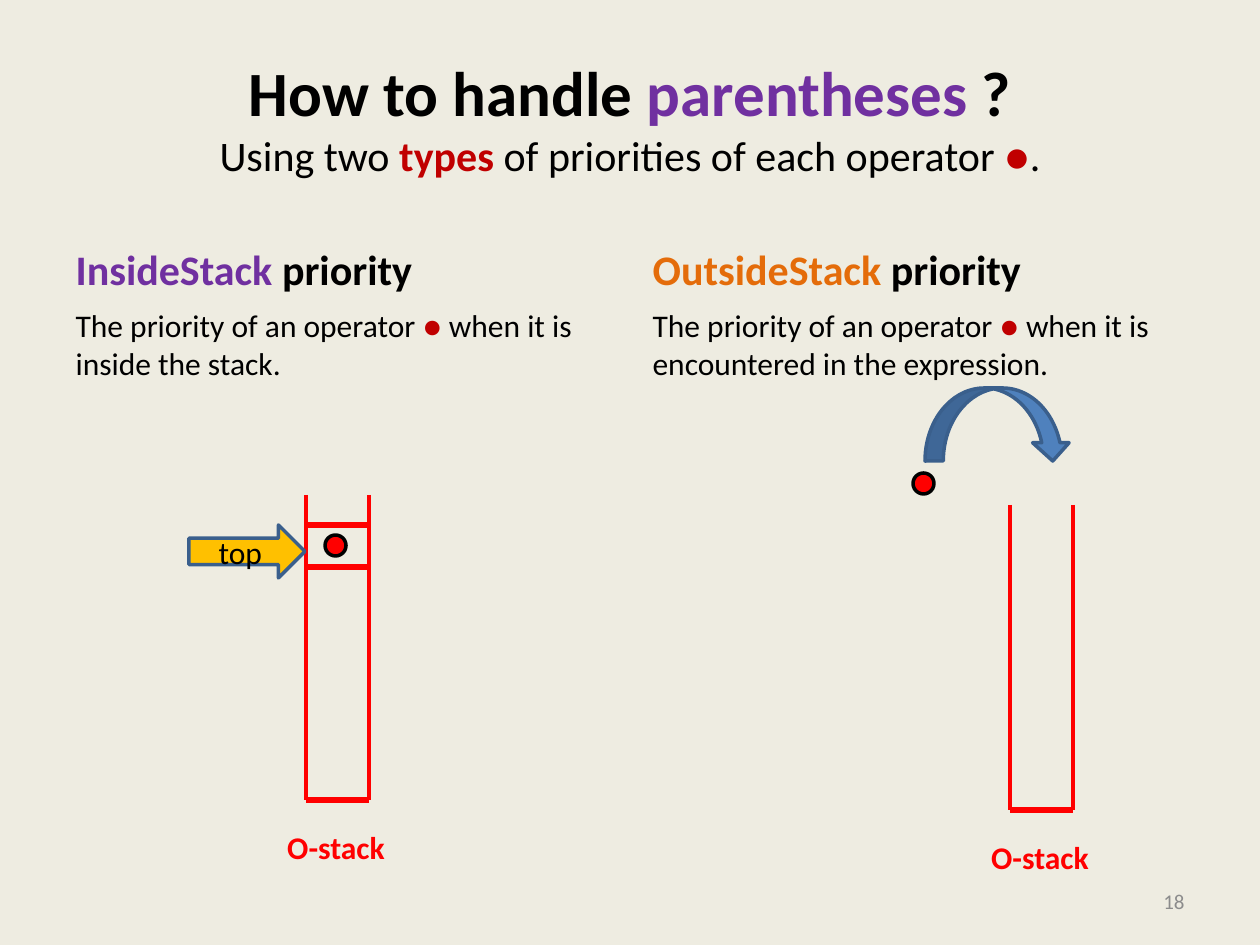
from dataclasses import dataclass

from pptx import Presentation
from pptx import util as u
from pptx.dml.color import RGBColor
from pptx.enum import shapes, text
from pptx.oxml.ns import qn
from lxml import etree

SCALE = 914400 / 126  # EMU per px


def px(value):
    return u.Emu(round(value * SCALE))


@dataclass(frozen=True)
class Theme:
    font: str = "Calibri"
    background: str = "EEECE1"
    ink: str = "000000"
    purple: str = "7030A0"
    orange: str = "E46C0A"
    dark_red: str = "C00000"
    red: str = "FF0000"
    gold: str = "FFC000"
    blue: str = "4F81BD"
    outline: str = "3A5F8C"
    gray: str = "8C8C8C"
    title: int = 36
    heading: int = 24
    body: int = 18
    small: int = 12
    wall: float = 2.25
    bar: float = 3
    edge: float = 2


class SlideBuilder:
    def __init__(self, slide, theme):
        self.slide = slide
        self.theme = theme
        fill = slide.background.fill
        fill.solid()
        fill.fore_color.rgb = RGBColor.from_string(theme.background)

    def run(self, paragraph, words, size, color=None, bold=False):
        run = paragraph.add_run()
        run.text = words
        font = run.font
        font.name, font.size, font.bold = self.theme.font, u.Pt(size), bold
        font.color.rgb = RGBColor.from_string(color or self.theme.ink)

    def placeholder(self, index, box, lines, anchor, align):
        """Fill a placeholder; each line is a list of run arguments."""
        shape = self.slide.placeholders[index]
        shape.left, shape.top, shape.width, shape.height = map(px, box)
        frame = shape.text_frame
        frame.auto_size = text.MSO_AUTO_SIZE.NONE
        frame.vertical_anchor = anchor
        paragraph = frame.paragraphs[0]
        paragraph.alignment = align
        properties = paragraph._p.get_or_add_pPr()
        properties.set("marL", "0")
        properties.set("indent", "0")
        etree.SubElement(properties, qn("a:buNone"))
        for number, line in enumerate(lines):
            if number:
                paragraph.add_line_break()
            for arguments in line:
                self.run(paragraph, *arguments)

    def label(self, box, words, size, color, align, bold=False):
        frame = self.slide.shapes.add_textbox(*map(px, box)).text_frame
        frame.word_wrap = True
        frame.vertical_anchor = text.MSO_ANCHOR.MIDDLE
        frame.paragraphs[0].alignment = align
        self.run(frame.paragraphs[0], words, size, color, bold)

    def line(self, start, end, width):
        connector = self.slide.shapes.add_connector(
            shapes.MSO_CONNECTOR.STRAIGHT, *map(px, start + end))
        connector.line.color.rgb = RGBColor.from_string(self.theme.red)
        connector.line.width = u.Pt(width)
        etree.SubElement(connector._element.spPr, qn("a:effectLst"))

    def shape(self, kind, box, fill, outline, words=None):
        shape = self.slide.shapes.add_shape(kind, *map(px, box))
        shape.shadow.inherit = False
        shape.fill.solid()
        shape.fill.fore_color.rgb = RGBColor.from_string(fill)
        shape.line.color.rgb = RGBColor.from_string(outline)
        shape.line.width = u.Pt(self.theme.edge)
        if words:
            shape.text_frame.vertical_anchor = text.MSO_ANCHOR.MIDDLE
            paragraph = shape.text_frame.paragraphs[0]
            paragraph.alignment = text.PP_ALIGN.CENTER
            self.run(paragraph, words, self.theme.body)

    def operator(self, x, y):
        self.shape(shapes.MSO_SHAPE.OVAL, (x, y, 21, 21), self.theme.red, self.theme.ink)

    def stack(self, left, top, width=63, height=305):
        """Open-topped stack with its name below."""
        theme, right, bottom = self.theme, left + width, top + height
        for x in (left, right):
            self.line((x, top), (x, bottom), theme.wall)
        self.line((left, bottom), (right, bottom), theme.bar)
        self.label((left - 50, bottom + 22, 160, 50), "O-stack", theme.body,
                   theme.red, text.PP_ALIGN.CENTER, True)


def main():
    theme = Theme()
    presentation = Presentation()
    presentation.slide_width, presentation.slide_height = px(1260), px(945)
    slide = presentation.slides.add_slide(
        presentation.slide_layouts.get_by_name("Comparison"))
    builder = SlideBuilder(slide, theme)
    align, anchor = text.PP_ALIGN, text.MSO_ANCHOR

    # Title and subtitle
    builder.placeholder(0, (63, 38, 1134, 157), [
        [("How to handle ", theme.title, theme.ink, True),
         ("parentheses ", theme.title, theme.purple, True),
         ("?", theme.title, theme.ink, True)],
        [("Using two ", theme.heading),
         ("types ", theme.heading, theme.dark_red, True),
         ("of priorities of each operator ", theme.heading),
         ("●", theme.heading, theme.dark_red),
         (".", theme.heading)],
    ], anchor.MIDDLE, align.CENTER)

    # Two columns of heading and definition
    columns = [
        (1, 63, "InsideStack ", theme.purple, "inside the stack."),
        (3, 640, "OutsideStack ", theme.orange, "encountered in the expression."),
    ]
    for index, left, name, color, place in columns:
        builder.placeholder(index, (left, 212, 557, 88), [
            [(name, theme.heading, color, True),
             ("priority", theme.heading, theme.ink, True)],
        ], anchor.BOTTOM, align.LEFT)
        builder.placeholder(index + 1, (left, 300, 557, 544), [
            [("The priority of an operator ", theme.body),
             ("● ", theme.body, theme.dark_red),
             ("when it is " + place, theme.body)],
        ], anchor.TOP, align.LEFT)

    # Slide number
    builder.label((903, 876, 294, 50), "18", theme.small, theme.gray, align.RIGHT)

    # Outside: the operator is about to enter the stack
    builder.stack(1010, 505)
    builder.operator(913, 473)
    builder.shape(shapes.MSO_SHAPE.CURVED_DOWN_ARROW, (925, 388, 146, 73),
                  theme.blue, theme.outline)

    # Inside: the operator sits on top of the stack
    builder.stack(306, 495)
    builder.operator(325, 535)
    for y in (525, 567):
        builder.line((306, y), (369, y), theme.bar)
    builder.shape(shapes.MSO_SHAPE.RIGHT_ARROW, (189, 525, 116, 53),
                  theme.gold, theme.outline, "top")

    presentation.save("out.pptx")


if __name__ == "__main__":
    main()
